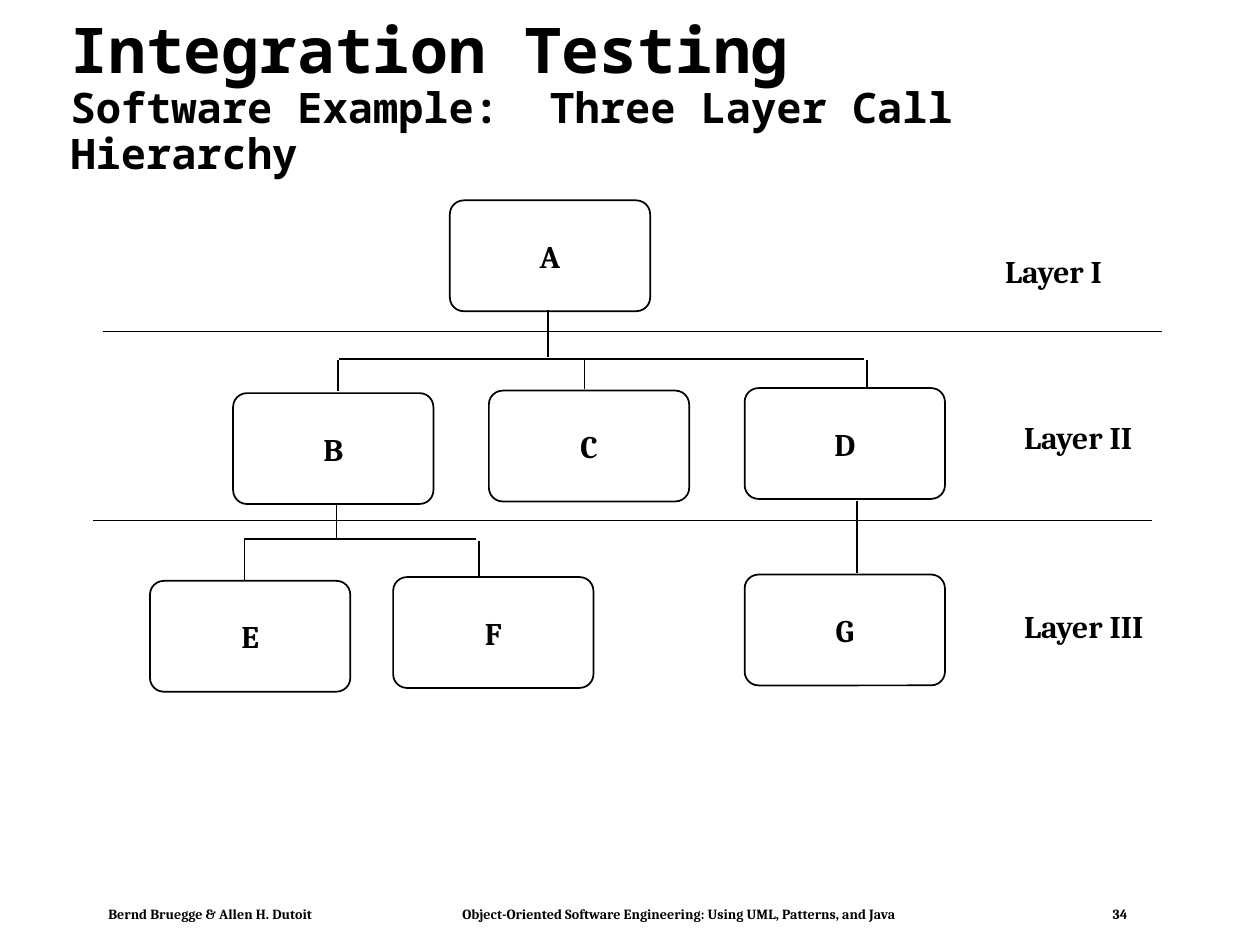
from typing import NamedTuple

from lxml import etree
from pptx import Presentation
from pptx.dml.color import RGBColor
from pptx.enum.shapes import MSO_CONNECTOR, MSO_SHAPE
from pptx.enum.text import MSO_ANCHOR, MSO_AUTO_SIZE, PP_ALIGN
from pptx.oxml.ns import qn
from pptx.util import Inches, Pt

LEFT, CENTER = PP_ALIGN.LEFT, PP_ALIGN.CENTER
MIDDLE, TOP = MSO_ANCHOR.MIDDLE, MSO_ANCHOR.TOP
NO_AUTOFIT, GROW = MSO_AUTO_SIZE.NONE, MSO_AUTO_SIZE.SHAPE_TO_FIT_TEXT
ROUNDED, STRAIGHT = MSO_SHAPE.ROUNDED_RECTANGLE, MSO_CONNECTOR.STRAIGHT

COLORS = {"ink": "000000"}
INK = RGBColor.from_string(COLORS["ink"])
BODY_FONT, TITLE_FONT = "Cambria", "Noto Sans Mono"
BOX_WIDTH, BOX_HEIGHT = 1.59, 0.88


class Component(NamedTuple):
    name: str
    left: float
    top: float


class Segment(NamedTuple):
    x1: float
    y1: float
    x2: float
    y2: float


class Label(NamedTuple):
    text: str
    left: float
    top: float
    width: float


COMPONENTS = [
    Component("A", 3.57, 1.59),
    Component("B", 1.85, 3.12),
    Component("C", 3.88, 3.1),
    Component("D", 5.91, 3.08),
    Component("G", 5.91, 4.56),
    Component("F", 3.12, 4.58),
    Component("E", 1.19, 4.61),
]
SEGMENTS = [
    # A calls B, C and D
    Segment(4.35, 2.46, 4.35, 2.83),
    Segment(2.69, 2.85, 6.86, 2.85),
    Segment(2.68, 2.86, 2.68, 3.1),
    Segment(4.64, 2.86, 4.64, 3.09),
    Segment(6.88, 2.86, 6.88, 3.07),
    # B calls E and F
    Segment(2.67, 4.01, 2.67, 4.27),
    Segment(3.78, 4.28, 1.94, 4.28),
    Segment(1.94, 4.27, 1.94, 4.6),
    Segment(3.8, 4.29, 3.8, 4.58),
    # D calls G
    Segment(6.8, 3.98, 6.8, 4.55),
    # Layer boundaries
    Segment(0.82, 2.63, 9.22, 2.63),
    Segment(0.74, 4.13, 9.14, 4.13),
]
LABELS = [
    Label("Layer I", 7.88, 1.95, 1),
    Label("Layer II", 8.03, 3.27, 1.09),
    Label("Layer III", 8.03, 4.77, 1.19),
]


def format_frame(frame, **values) -> None:
    for name, value in values.items():
        setattr(frame, name, value)


def format_font(font, size: float, name: str = BODY_FONT) -> None:
    for attribute, value in {"name": name, "size": Pt(size), "bold": True}.items():
        setattr(font, attribute, value)
    font.color.rgb = INK


def format_line(line) -> None:
    line.color.rgb = INK
    line.width = Pt(1)


def add_title(slide) -> None:
    title = slide.shapes.title
    place = {"left": 0.46, "top": 0.24, "width": 8.92, "height": 1.09}
    for attribute, value in place.items():
        setattr(title, attribute, Inches(value))
    format_frame(title.text_frame, vertical_anchor=MIDDLE, word_wrap=True,
                 auto_size=NO_AUTOFIT)
    paragraph = title.text_frame.paragraphs[0]
    paragraph.alignment, paragraph.line_spacing = LEFT, 0.9
    heading = paragraph.add_run()
    heading.text = "Integration Testing"
    format_font(heading.font, 36, TITLE_FONT)
    paragraph.add_line_break()
    subheading = paragraph.add_run()
    subheading.text = "Software Example:  Three Layer Call Hierarchy"
    format_font(subheading.font, 24, TITLE_FONT)


def add_component(slide, component: Component) -> None:
    shape = slide.shapes.add_shape(
        ROUNDED, Inches(component.left), Inches(component.top),
        Inches(BOX_WIDTH), Inches(BOX_HEIGHT))
    shape.adjustments[0] = 0.125
    shape.shadow.inherit = False
    shape.fill.background()
    format_line(shape.line)
    format_frame(shape.text_frame, text=component.name, word_wrap=False,
                 vertical_anchor=MIDDLE)
    paragraph = shape.text_frame.paragraphs[0]
    paragraph.alignment = CENTER
    format_font(paragraph.runs[0].font, 18)


def add_segment(slide, segment: Segment) -> None:
    connector = slide.shapes.add_connector(STRAIGHT, *map(Inches, segment))
    format_line(connector.line)
    etree.SubElement(connector._element.spPr, qn("a:effectLst"))


def add_label(slide, label: Label) -> None:
    box = slide.shapes.add_textbox(
        Inches(label.left), Inches(label.top), Inches(label.width), Inches(0.4))
    format_frame(box.text_frame, text=label.text, word_wrap=False, auto_size=GROW)
    format_font(box.text_frame.paragraphs[0].runs[0].font, 18)


def add_footer(slide) -> None:
    box = slide.shapes.add_textbox(
        Inches(0.78), Inches(7.15), Inches(8.27), Inches(0.21))
    format_frame(box.text_frame, word_wrap=True, vertical_anchor=TOP,
                 margin_left=Inches(0.08), margin_right=Inches(0.08),
                 margin_top=Inches(0.04), margin_bottom=Inches(0.04))
    paragraph = box.text_frame.paragraphs[0]
    # Tab stops for the book title and the page number
    tabs = etree.SubElement(paragraph._p.get_or_add_pPr(), qn("a:tabLst"))
    for position, alignment in ((2.81, "l"), (8.09, "r")):
        etree.SubElement(tabs, qn("a:tab"), pos=str(Inches(position)), algn=alignment)
    run = paragraph.add_run()
    run.text = "\t".join([
        "Bernd Bruegge & Allen H. Dutoit",
        "Object-Oriented Software Engineering: Using UML, Patterns, and Java",
        "34",
    ])
    format_font(run.font, 8)


def main() -> None:
    presentation = Presentation()
    presentation.slide_width, presentation.slide_height = Inches(10), Inches(7.5)
    slide = presentation.slides.add_slide(presentation.slide_layouts[5])

    add_footer(slide)
    add_title(slide)

    # Call hierarchy
    for component in COMPONENTS:
        add_component(slide, component)
    for segment in SEGMENTS:
        add_segment(slide, segment)
    for label in LABELS:
        add_label(slide, label)

    presentation.save("out.pptx")


if __name__ == "__main__":
    main()
